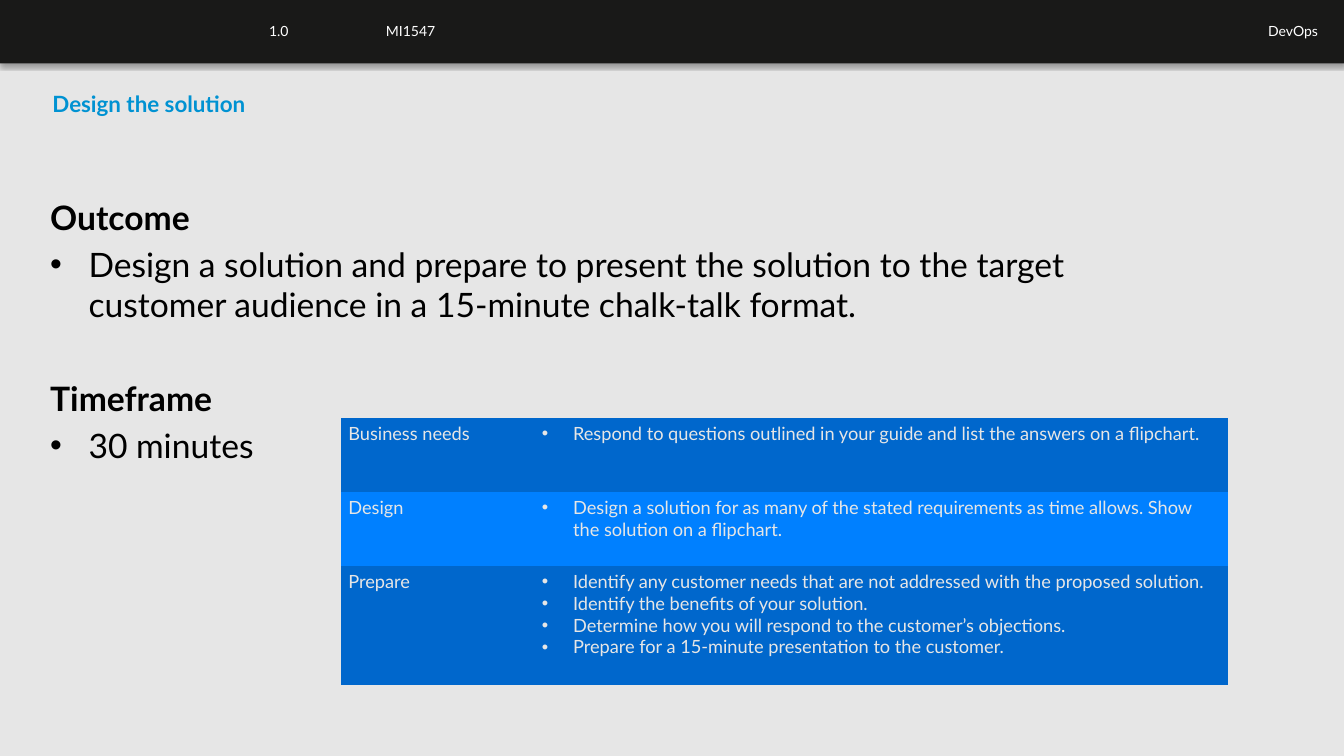
from lxml import etree
from pptx import Presentation
from pptx.dml.color import RGBColor
from pptx.enum.shapes import MSO_SHAPE
from pptx.enum.text import MSO_ANCHOR, MSO_AUTO_SIZE, PP_ALIGN
from pptx.oxml.ns import qn
from pptx.util import Inches, Pt

RECT = MSO_SHAPE.RECTANGLE
TOP = MSO_ANCHOR.TOP
NO_FIT = MSO_AUTO_SIZE.NONE
LEFT, RIGHT = PP_ALIGN.LEFT, PP_ALIGN.RIGHT

BLACK = RGBColor(0x00, 0x00, 0x00)
WHITE = RGBColor(0xFF, 0xFF, 0xFF)
DARK = RGBColor(0x19, 0x19, 0x18)
GRAY = RGBColor(0xE6, 0xE6, 0xE6)
CYAN = RGBColor(0x00, 0x92, 0xD2)
BANDS = RGBColor(0x00, 0x67, 0xCC), RGBColor(0x00, 0x80, 0xFF)

FONT = "Lato"
PLAIN_TABLE = "{2D5ABB26-0587-4C30-8999-92F81FD0307C}"

# (text, left, width, alignment), lengths in percent of the slide width
HEADER = [
    ("DevOps", 53.19, 45.61, RIGHT),
    ("1.0", 19.28, 8.63, LEFT),
    ("MI1547", 27.98, 16.5, LEFT),
]
# (heading, point, space before the heading in points)
GOALS = [
    ("Outcome", "Design a solution and prepare to present the solution to the "
     "target customer audience in a 15-minute chalk-talk format.", 0),
    ("Timeframe", "30 minutes", 38.4),
]
TASKS = [
    ("Business needs", ["Respond to questions outlined in your guide and list "
                        "the answers on a flipchart."]),
    ("Design", ["Design a solution for as many of the stated requirements as "
                "time allows. Show the solution on a flipchart."]),
    ("Prepare", [
        "Identify any customer needs that are not addressed with the proposed solution.",
        "Identify the benefits of your solution.",
        "Determine how you will respond to the customer’s objections.",
        "Prepare for a 15-minute presentation to the customer.",
    ]),
]


class Deck:
    """Holds the style and the slide; lengths are percent of the slide's size."""

    def __init__(self):
        self.prs = Presentation()
        self.prs.slide_width, self.prs.slide_height = Inches(13.33), Inches(7.5)
        self.slide = self.prs.slides.add_slide(self.prs.slide_layouts[5])
        self.slide.background.fill.solid()
        self.slide.background.fill.fore_color.rgb = GRAY

    def wide(self, share):
        return round(self.prs.slide_width * share / 100)

    def high(self, share):
        return round(self.prs.slide_height * share / 100)

    def box(self, left, top, width, height):
        return self.wide(left), self.high(top), self.wide(width), self.high(height)

    def style(self, para, size, color, bold=False, align=LEFT, gap=0):
        para.alignment = align
        para.space_before = Pt(gap)
        for run in para.runs:
            font = run.font
            font.name, font.size, font.bold = FONT, Pt(size), bold
            font.color.rgb = color

    def bullet(self, para, indent):
        props = para._p.get_or_add_pPr()
        props.set("marL", str(Inches(indent)))
        props.set("indent", str(-Inches(indent)))
        etree.SubElement(props, qn("a:buFont")).set("typeface", "Arial")
        etree.SubElement(props, qn("a:buChar")).set("char", "•")

    def bar(self, height):
        """Draw the header band with a soft shadow below it."""
        bar = self.slide.shapes.add_shape(RECT, *self.box(0, 0, 100, height))
        bar.fill.solid()
        bar.fill.fore_color.rgb = DARK
        bar.line.fill.background()
        bar.shadow.inherit = False
        effects = bar._element.spPr.find(qn("a:effectLst"))
        shade = etree.SubElement(effects, qn("a:outerShdw"), blurRad=str(Pt(3.1)),
                                 dist=str(Pt(1.8)), dir="5400000", rotWithShape="0")
        tint = etree.SubElement(shade, qn("a:srgbClr"), val="000000")
        etree.SubElement(tint, qn("a:alpha"), val="35000")

    def title(self, text, *place):
        title = self.slide.shapes.title
        title.left, title.top, title.width, title.height = self.box(*place)
        frame = title.text_frame
        frame.text = text
        frame.auto_size = NO_FIT
        frame.vertical_anchor = TOP
        self.style(frame.paragraphs[0], 16, CYAN, bold=True)

    def frame(self, *place):
        frame = self.slide.shapes.add_textbox(*self.box(*place)).text_frame
        frame.word_wrap = True
        return frame

    def label(self, text, place, align):
        frame = self.frame(*place)
        frame.text = text
        self.style(frame.paragraphs[0], 10, WHITE, align=align)

    def goals(self, goals, *place):
        frame = self.frame(*place)
        frame.text = "\n".join(line for goal in goals for line in goal[:2])
        paras = frame.paragraphs
        for (_, _, gap), head, point in zip(goals, paras[::2], paras[1::2]):
            self.style(head, 24, BLACK, bold=True, gap=gap)
            self.style(point, 24, BLACK, gap=4.8)
            self.bullet(point, 0.38)

    def cell(self, cell, lines, color, dotted):
        cell.fill.solid()
        cell.fill.fore_color.rgb = color
        cell.margin_left = cell.margin_right = Inches(0.07)
        cell.margin_top = cell.margin_bottom = Inches(0.04)
        cell.text_frame.text = "\n".join(lines)
        for para in cell.text_frame.paragraphs:
            self.style(para, 13, GRAY)
            if dotted:
                self.bullet(para, 0.31)

    def table(self, tasks, left, top, cols, rows):
        place = self.box(left, top, sum(cols), sum(rows))
        table = self.slide.shapes.add_table(len(rows), len(cols), *place).table
        table.first_row = table.horz_banding = False
        table._tbl.tblPr.find(qn("a:tableStyleId")).text = PLAIN_TABLE
        for col, width in zip(table.columns, cols):
            col.width = self.wide(width)
        for i, (name, steps) in enumerate(tasks):
            table.rows[i].height = self.high(rows[i])
            color = BANDS[i % 2]
            self.cell(table.cell(i, 0), [name], color, False)
            self.cell(table.cell(i, 1), steps, color, True)


def main():
    deck = Deck()
    deck.bar(8.4)
    for text, left, width, align in HEADER:
        deck.label(text, (left, 2.27, width, 3.6), align)
    deck.title("Design the solution", 3.15, 11.2, 95.35, 5.2)
    deck.goals(GOALS, 3, 25.33, 87.4, 38)
    deck.table(TASKS, 25.4, 55.33, (14.4, 51.54), (9.8, 9.8, 15.73))
    deck.prs.save("out.pptx")


if __name__ == "__main__":
    main()
